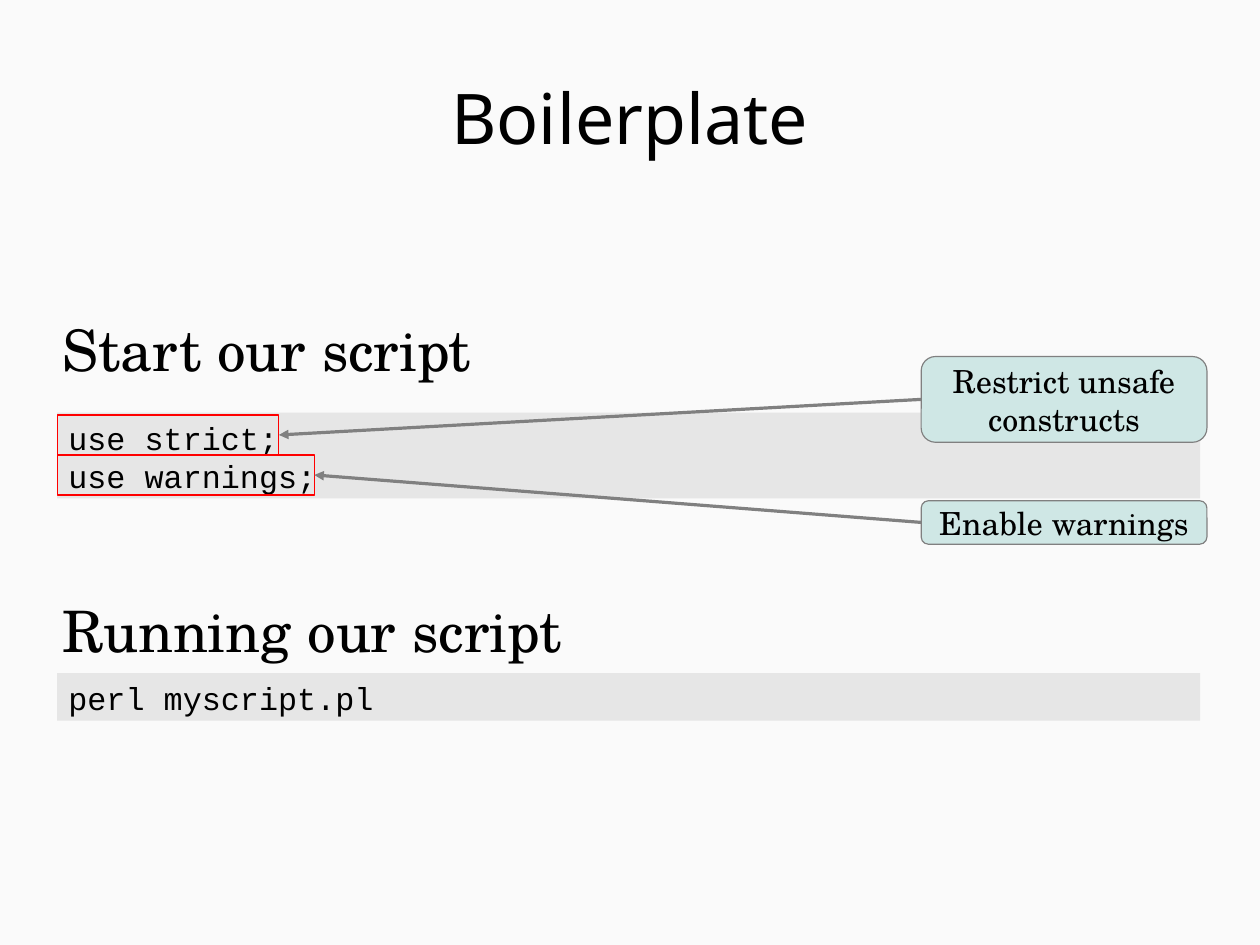
"""Build the Boilerplate slide: a short Perl script with callouts, and how to run it."""
from lxml import etree
from pptx import Presentation
from pptx import util as u
from pptx.dml import color
from pptx.enum import shapes, text
from pptx.oxml import ns

TITLE = "Boilerplate"
HEADINGS = [("Start our script", 198), ("Running our script", 375)]
CODE_BLOCKS = [
    (["use strict;", "use warnings;"], 260, 54),
    (["perl myscript.pl"], 424, 30),
]
CALLOUTS = [
    (["Restrict unsafe", "constructs"], 224.6, 54, 139.7),
    (["Enable warnings"], 315.4, 27.4, 162),
]
THEME = {
    "background": "FAFAFA", "code": "E6E6E6", "callout": "CFE7E5",
    "outline": "808080", "frame": "FF0000", "text": "000000",
    "title_style": ("Noto Sans", 44),
    "heading_style": ("TeX Gyre Schola", 36),
    "code_style": ("Courier New", 20),
    "callout_style": ("TeX Gyre Schola", 20),
}
SLIDE_WIDTH, SLIDE_HEIGHT = 793.7, 595.28
CODE_LEFT, CODE_WIDTH = 36, 720
TEXT_LEFT, TEXT_WIDTH = 39.6, 714.3
TITLE_TOP, TITLE_HEIGHT = 23.8, 99.4
HEADING_HEIGHT = 43
CALLOUT_LEFT, CALLOUT_WIDTH = 580.3, 180
FRAME_TOP, FRAME_HEIGHT = 261.4, 25.2
LEFT_SITE, RIGHT_SITE = 1, 3
CODE_MARGINS = (7.2, 3.6)


def rgb(name):
    return color.RGBColor.from_string(THEME[name])


def write(shape, lines, style, margins=(0, 0), anchor="TOP", align="LEFT", wrap=True):
    side, edge = (u.Pt(margin) for margin in margins)
    frame = shape.text_frame
    frame_format = {
        "word_wrap": wrap, "vertical_anchor": text.MSO_ANCHOR[anchor],
        "margin_left": side, "margin_right": side,
        "margin_top": edge, "margin_bottom": edge,
    }
    for name, value in frame_format.items():
        setattr(frame, name, value)
    frame.text = "\n".join(lines)
    font_name, size = THEME[style]
    for paragraph in frame.paragraphs:
        paragraph.alignment = text.PP_ALIGN[align]
        for name, value in {"name": font_name, "size": u.Pt(size)}.items():
            setattr(paragraph.font, name, value)
        paragraph.font.color.rgb = rgb("text")


def add_text(slide, box, lines, style, **layout):
    write(slide.shapes.add_textbox(*map(u.Pt, box)), lines, style, **layout)


def add_block(slide, kind, box, fill=None, line=None):
    shape = slide.shapes.add_shape(shapes.MSO_SHAPE[kind], *map(u.Pt, box))
    shape.shadow.inherit = False
    if fill:
        shape.fill.solid()
        shape.fill.fore_color.rgb = rgb(fill)
    else:
        shape.fill.background()
    if line:
        shape.line.color.rgb = rgb(line)
        shape.line.width = u.Pt(0)
    else:
        shape.line.fill.background()
    return shape


def add_code(slide, lines, top, height):
    block = add_block(slide, "RECTANGLE", (CODE_LEFT, top, CODE_WIDTH, height), "code")
    write(block, lines, "code_style", CODE_MARGINS)


def add_arrow(slide, callout, frame):
    arrow = slide.shapes.add_connector(shapes.MSO_CONNECTOR.STRAIGHT, 0, 0, 0, 0)
    arrow.begin_connect(callout, LEFT_SITE)
    arrow.end_connect(frame, RIGHT_SITE)
    arrow.line.color.rgb = rgb("outline")
    arrow.line.width = u.Pt(0)
    etree.SubElement(arrow.line._get_or_add_ln(), ns.qn("a:tailEnd"), type="triangle")
    etree.SubElement(arrow._element.spPr, ns.qn("a:effectLst"))


def main():
    presentation = Presentation()
    presentation.slide_width = u.Pt(SLIDE_WIDTH)
    presentation.slide_height = u.Pt(SLIDE_HEIGHT)
    slide = presentation.slides.add_slide(presentation.slide_layouts[6])
    slide.background.fill.solid()
    slide.background.fill.fore_color.rgb = rgb("background")

    add_text(slide, (TEXT_LEFT, TITLE_TOP, TEXT_WIDTH, TITLE_HEIGHT), [TITLE],
             "title_style", anchor="MIDDLE", align="CENTER")
    for code_block in CODE_BLOCKS:
        add_code(slide, *code_block)
    for row, (lines, top, height, frame_width) in enumerate(CALLOUTS):
        callout = add_block(slide, "ROUNDED_RECTANGLE",
                            (CALLOUT_LEFT, top, CALLOUT_WIDTH, height), "callout", "outline")
        write(callout, lines, "callout_style", CODE_MARGINS, "MIDDLE", "CENTER", wrap=False)
        frame_top = FRAME_TOP + row * FRAME_HEIGHT
        frame = add_block(slide, "RECTANGLE",
                          (CODE_LEFT, frame_top, frame_width, FRAME_HEIGHT), line="frame")
        add_arrow(slide, callout, frame)
    for heading, top in HEADINGS:
        add_text(slide, (TEXT_LEFT, top, TEXT_WIDTH, HEADING_HEIGHT), [heading], "heading_style")

    presentation.save("out.pptx")


if __name__ == "__main__":
    main()
